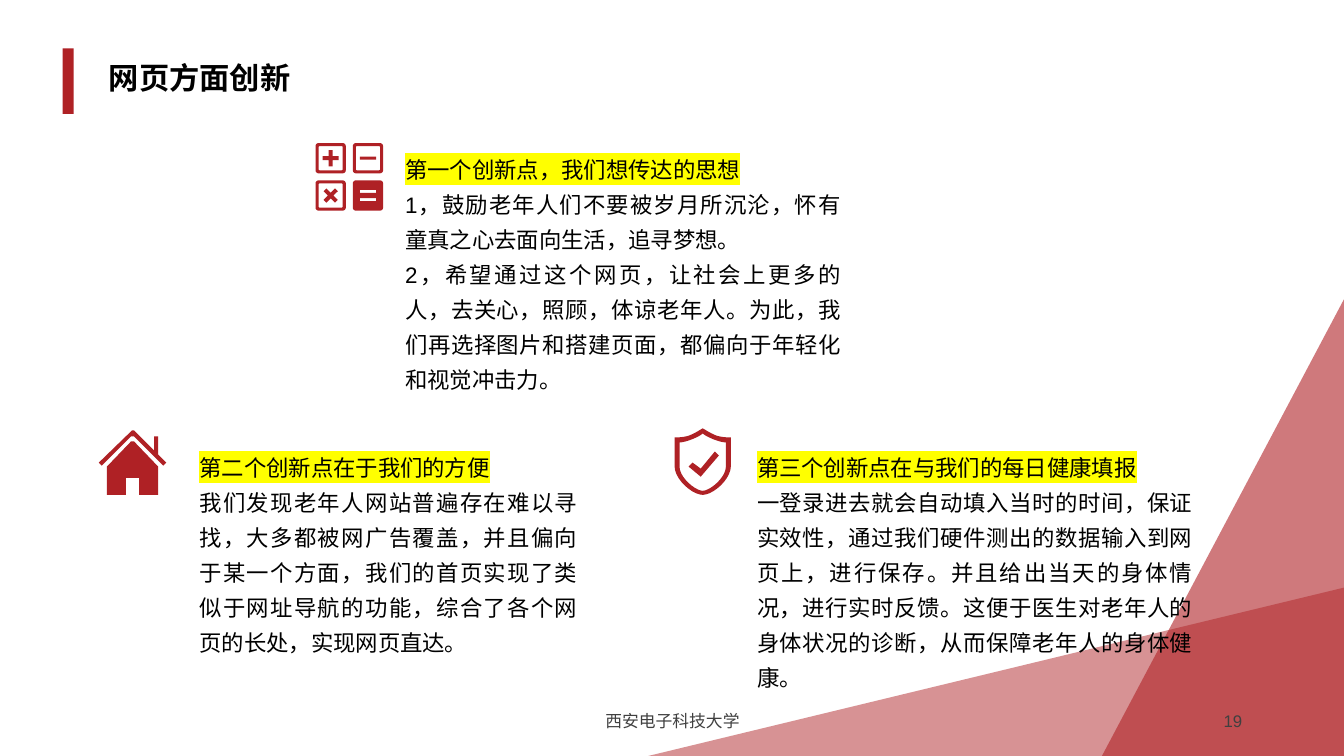
from math import cos, pi, sin

from lxml import etree
from pptx import Presentation
from pptx.dml.color import RGBColor
from pptx.enum.shapes import MSO_SHAPE
from pptx.enum.text import MSO_ANCHOR, MSO_AUTO_SIZE, PP_ALIGN
from pptx.oxml.ns import qn
from pptx.util import Inches, Pt

RECT, TRIANGLE = MSO_SHAPE.RECTANGLE, MSO_SHAPE.RIGHT_TRIANGLE
TOP, MIDDLE = MSO_ANCHOR.TOP, MSO_ANCHOR.MIDDLE
LEFT, CENTER, RIGHT, JUSTIFY = (PP_ALIGN.LEFT, PP_ALIGN.CENTER,
                                PP_ALIGN.RIGHT, PP_ALIGN.JUSTIFY)
COLORS = {"red": "AF2125", "black": "000000", "gray": "404040", "mark": "FFFF00"}
LATIN, CJK = "Arial", "Noto Sans CJK SC"


def rgb(name):
    return RGBColor.from_string(COLORS[name])


def paint(sp, opacity=None):
    sp.shadow.inherit = False
    sp.fill.solid()
    sp.fill.fore_color.rgb = rgb("red")
    sp.line.fill.background()
    if opacity:
        color = sp.fill._xPr.find(qn("a:solidFill"))[0]
        etree.SubElement(color, qn("a:alpha"), val=str(opacity * 1000))


def format_run(r, size, color, bold=False, marked=False):
    r.font.size, r.font.bold, r.font.name = Pt(size), bold, LATIN
    r.font.color.rgb = rgb(color)
    rPr = r._r.get_or_add_rPr()
    ea = etree.Element(qn("a:ea"), typeface=CJK)
    rPr.find(qn("a:latin")).addnext(ea)
    if marked:
        highlight = etree.Element(qn("a:highlight"))
        etree.SubElement(highlight, qn("a:srgbClr"), val=COLORS["mark"])
        rPr.find(qn("a:solidFill")).addnext(highlight)


def add_text(s, box, text, size, color, align, anchor=TOP, spacing=1.0,
             mark_first=False):
    tf = s.shapes.add_textbox(*map(Inches, box)).text_frame
    tf.word_wrap, tf.vertical_anchor = True, anchor
    tf.text = text
    for i, p in enumerate(tf.paragraphs):
        p.alignment, p.line_spacing = align, spacing
        # Keep punctuation inside the right margin
        p._p.get_or_add_pPr().set("hangingPunct", "0")
        for r in p.runs:
            format_run(r, size, color, marked=mark_first and i == 0)


# Outline helpers: every contour is a list of points in inches
def rect(cx, cy, w, h):
    return [(cx + a * w / 2, cy + b * h / 2)
            for a, b in ((-1, -1), (1, -1), (1, 1), (-1, 1))]


def rounded(cx, cy, size, radius):
    points = []
    for corner, (x, y) in enumerate(rect(cx, cy, size - 2 * radius, size - 2 * radius)):
        angles = [pi + (corner + step / 4) * pi / 2 for step in range(5)]
        points += [(x + radius * cos(a), y + radius * sin(a)) for a in angles]
    return points


def plus(cx, cy, turn=0):
    arm, half = 0.08, 0.02
    points = []
    for k in range(4):
        a = turn + k * pi / 2
        for x, y in ((half, half), (arm, half), (arm, -half)):
            points.append((cx + x * cos(a) + y * sin(a), cy + x * sin(a) - y * cos(a)))
    return points


def curve(*ctrl, steps=10):
    points = []
    for i in range(steps + 1):
        t = i / steps
        weights = ((1 - t) ** 3, 3 * t * (1 - t) ** 2, 3 * t * t * (1 - t), t ** 3)
        points.append(tuple(sum(w * c[axis] for w, c in zip(weights, ctrl))
                            for axis in (0, 1)))
    return points


def mirrored(half, cx):
    return half + [(2 * cx - x, y) for x, y in reversed(half)]


def add_outline(s, left, top, contours):
    def place(points):
        return [(Inches(left + x), Inches(top + y)) for x, y in points]

    first, *others = map(place, contours)
    fb = s.shapes.build_freeform(*first[0], scale=1.0)
    fb.add_line_segments(first[1:], close=True)
    for points in others:
        fb.move_to(*points[0])
        fb.add_line_segments(points[1:], close=True)
    paint(fb.convert_to_shape())


# Icons
def calculator_icon(s, left, top):
    near, far = 0.15, 0.52
    contours = [rounded(x, y, 0.3, 0.03) for x in (near, far) for y in (near, far)]
    contours += [rounded(x, y, 0.24, 0.01)
                 for x, y in ((near, near), (far, near), (near, far))]
    contours += [plus(near, near), plus(near, far, pi / 4)]
    contours += [rect(far, y, 0.16, 0.03) for y in (near, far - 0.04, far + 0.04)]
    add_outline(s, left, top, contours)


def house_icon(s, left, top):
    walls = mirrored([(0.32, 0.11), (0.08, 0.36), (0.08, 0.64),
                      (0.27, 0.64), (0.27, 0.47)], 0.335)
    roof = [(0.59, 0.24), (0.59, 0.06), (0.55, 0.06), (0.55, 0.2), (0.35, 0),
            (0.33, 0), (0, 0.32), (0.03, 0.35), (0.32, 0.06), (0.35, 0.06),
            (0.64, 0.35), (0.67, 0.32)]
    add_outline(s, left, top, [walls, roof])


def shield_icon(s, left, top):
    outer = (curve((0.28, 0.66), (0.18, 0.66), (0, 0.51), (0, 0.37))
             + curve((0, 0.09), (0.03, 0.09), (0.09, 0.09), (0.15, 0.07))
             + curve((0.15, 0.07), (0.22, 0.04), (0.26, 0.01), (0.28, 0)))
    inner = (curve((0.28, 0.62), (0.21, 0.62), (0.05, 0.49), (0.05, 0.38))
             + curve((0.05, 0.14), (0.07, 0.14), (0.12, 0.13), (0.17, 0.11))
             + curve((0.17, 0.11), (0.22, 0.09), (0.26, 0.07), (0.28, 0.05)))
    tick = [(0.26, 0.48), (0.14, 0.38), (0.18, 0.34),
            (0.26, 0.4), (0.4, 0.23), (0.44, 0.27)]
    add_outline(s, left, top, [mirrored(outer, 0.28), mirrored(inner, 0.28), tick])


# Slide regions
def add_header(s, left, top, title):
    paint(s.shapes.add_shape(RECT, *map(Inches, (left, top, 0.11, 0.65))))
    sp = s.shapes.title
    sp.left, sp.top, sp.width, sp.height = map(
        Inches, (left + 0.36, top + 0.11, 11.5, 0.4))
    tf = sp.text_frame
    tf.text = title
    tf.auto_size, tf.vertical_anchor = MSO_AUTO_SIZE.NONE, MIDDLE
    p = tf.paragraphs[0]
    p.alignment, p.line_spacing = LEFT, 0.9
    format_run(p.runs[0], 21.6, "black", bold=True)


def add_corner(s, right, bottom):
    for w, h, opacity in ((6.9, 1.67, 49), (2.4, 4.53, 60)):
        sp = s.shapes.add_shape(TRIANGLE, *map(Inches, (right - w, bottom - h, w, h)))
        sp._element.spPr.find(qn("a:xfrm")).set("flipH", "1")
        paint(sp, opacity)


def add_footer(s, top, organisation, number):
    add_text(s, (4.42, top, 4.5, 0.4), organisation, 12, "gray", CENTER, MIDDLE)
    add_text(s, (9.42, top, 3, 0.4), number, 12, "gray", RIGHT, MIDDLE)


def add_point(s, box, icon, icon_offset, lines):
    icon(s, box[0] + icon_offset[0], box[1] + icon_offset[1])
    add_text(s, box, "\n".join(lines), 16, "black", JUSTIFY,
             spacing=1.3, mark_first=True)


POINTS = [
    ((3.92, 1.42, 4.52, 2.51), calculator_icon, (-0.79, 0), [
        "第一个创新点，我们想传达的思想",
        "1，鼓励老年人们不要被岁月所沉沦，怀有童真之心去面向生活，追寻梦想。",
        "2，希望通过这个网页，让社会上更多的人，去关心，照顾，体谅老年人。为此，"
        "我们再选择图片和搭建页面，都偏向于年轻化和视觉冲击力。"]),
    ((1.88, 4.38, 3.95, 2.25), house_icon, (-0.9, -0.11), [
        "第二个创新点在于我们的方便",
        "我们发现老年人网站普遍存在难以寻找，大多都被网广告覆盖，并且偏向于某一个方面，"
        "我们的首页实现了类似于网址导航的功能，综合了各个网页的长处，实现网页直达。"]),
    ((7.41, 4.38, 4.52, 2.57), shield_icon, (-0.72, -0.13), [
        "第三个创新点在与我们的每日健康填报",
        "一登录进去就会自动填入当时的时间，保证实效性，通过我们硬件测出的数据输入到网页上，"
        "进行保存。并且给出当天的身体情况，进行实时反馈。这便于医生对老年人的身体状况的诊断，"
        "从而保障老年人的身体健康。"]),
]


def main():
    prs = Presentation()
    prs.slide_width, prs.slide_height = Inches(13.33), Inches(7.5)
    s = prs.slides.add_slide(prs.slide_layouts[5])
    add_header(s, 0.62, 0.48, "网页方面创新")
    add_corner(s, 13.33, 7.5)
    add_footer(s, 6.95, "西安电子科技大学", "19")
    for point in POINTS:
        add_point(s, *point)
    prs.save("out.pptx")


if __name__ == "__main__":
    main()
